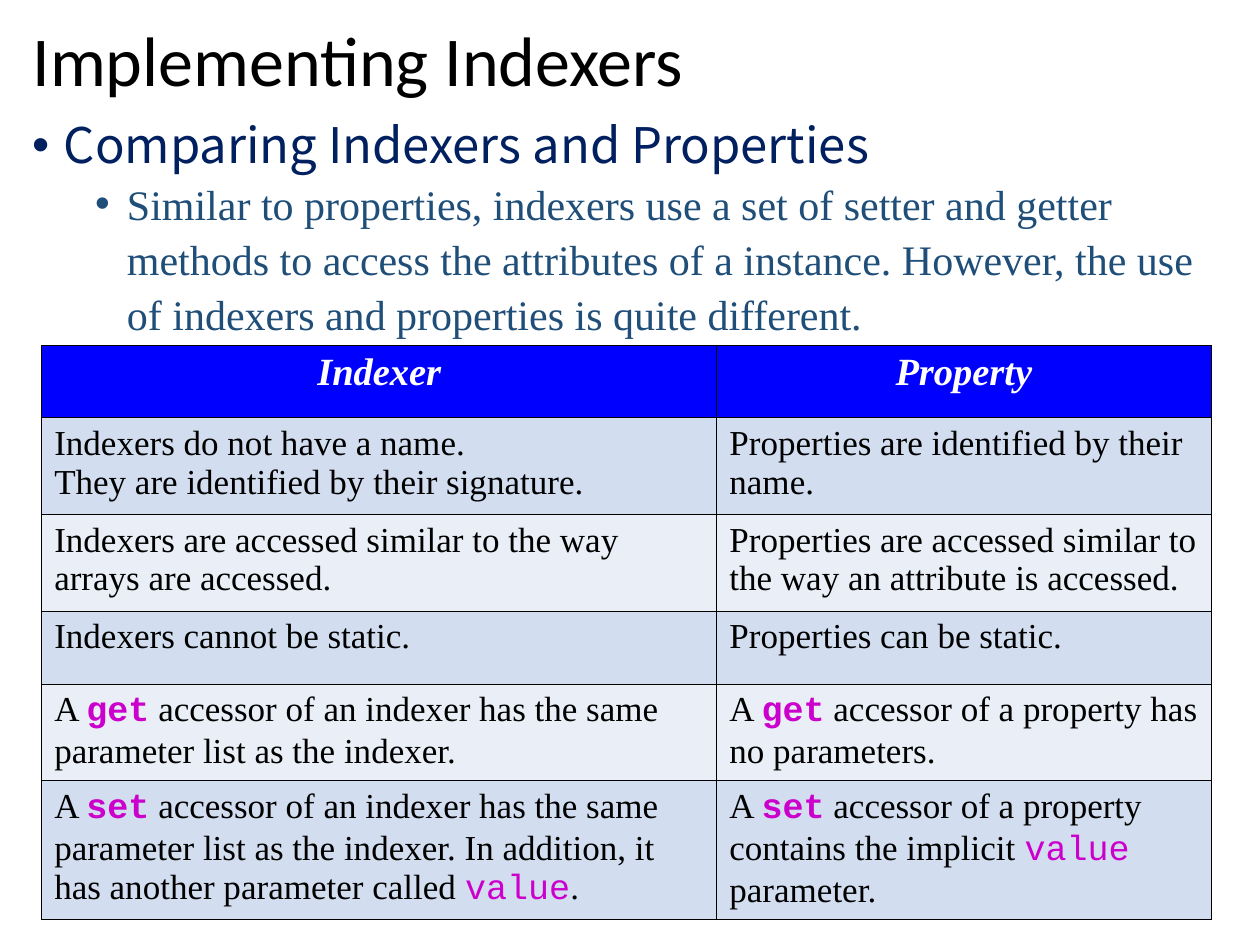
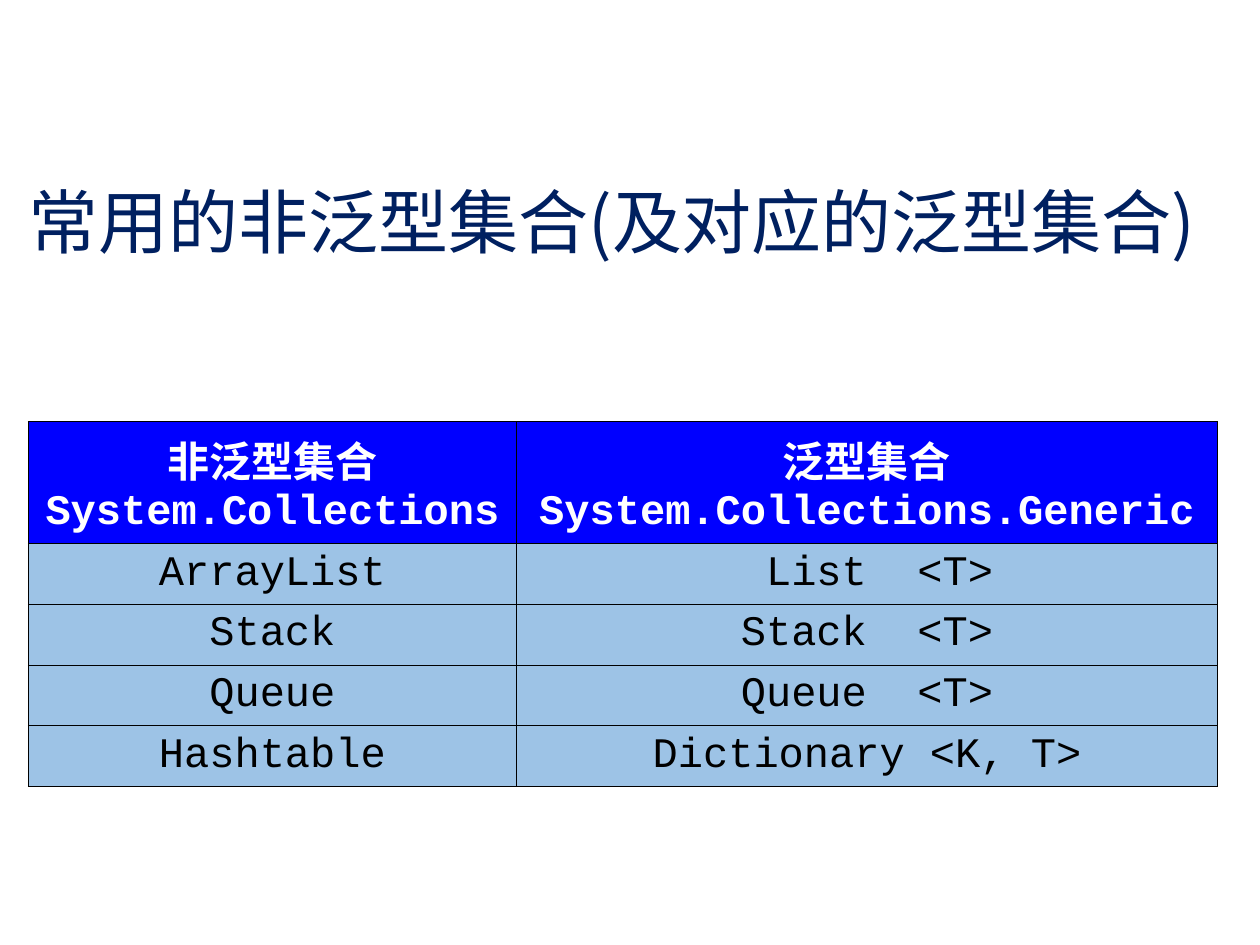
from lxml.etree import SubElement
from pptx import Presentation
from pptx.dml.color import RGBColor as RGB
from pptx.enum.text import MSO_ANCHOR as ANCHOR, MSO_AUTO_SIZE as AUTO, PP_ALIGN as ALIGN
from pptx.oxml.ns import qn
from pptx.util import Cm, Pt

COLORS = {"black": "000000", "white": "FFFFFF", "navy": "002060", "steel": "1F4E79",
          "header": "0000FF", "code": "CC00CC", "band_dark": "D2DEEF",
          "band_light": "EAEFF7", "sky": "9DC3E6"}
CJK, SERIF, MONO = "Noto Sans CJK SC", "Times New Roman", "Courier New"


def write(p, text, color, **font):
    """Fill a paragraph; parts between backquotes are set as code, keywords in bold."""
    for i, part in enumerate(text.split("`")):
        if not part:
            continue
        r = p.add_run()
        r.text = part
        fmt = dict(font)
        if i % 2:
            fmt.update(name=MONO, bold=part != "value")
        for key, value in fmt.items():
            setattr(r.font, key, value)
        r.font.color.rgb = RGB.from_string(COLORS["code" if i % 2 else color])
        SubElement(r.font._element, qn("a:ea"), typeface=CJK)


def add_grid(s, left, top, widths, heights, rows, fills, head, body, **cell_format):
    """Add a table with thin black borders, a centred header row and cycling row fills."""
    frame = s.shapes.add_table(len(heights), len(widths), Cm(left), Cm(top),
                               Cm(sum(widths)), Cm(sum(heights)))
    table = frame.table
    for col, width in zip(table.columns, widths):
        col.width = Cm(width)
    for i, (row, height) in enumerate(zip(table.rows, heights)):
        row.height = Cm(height)
        fill = fills[(i - 1) % len(fills)] if i else "header"
        style = body if i else head
        for cell, text in zip(row.cells, rows[i]):
            for key, value in cell_format.items():
                setattr(cell, key, value)
            tcPr = cell._tc.get_or_add_tcPr()
            for side in ("lnL", "lnR", "lnT", "lnB"):
                ln = SubElement(tcPr, qn(f"a:{side}"), w=str(Pt(0.45)))
                solid = SubElement(ln, qn("a:solidFill"))
                SubElement(solid, qn("a:srgbClr"), val=COLORS["black"])
            cell.fill.solid()
            cell.fill.fore_color.rgb = RGB.from_string(COLORS[fill])
            tf = cell.text_frame
            for n, line in enumerate(text.split("\n")):
                p = tf.add_paragraph() if n else tf.paragraphs[0]
                p.alignment = style["align"]
                write(p, line, **style["font"])


prs = Presentation()
prs.slide_width, prs.slide_height = Cm(25.4), Cm(19.05)

# Titles
titles = [
    ("Implementing Indexers", "Calibri", "black", (0.4, 0.28, 24.74, 2.0)),
    ("常用的非泛型集合(及对应的泛型集合)", CJK, "navy", (0.33, 3.02, 24.74, 3.05)),
]
slides = []
for text, font, color, box in titles:
    s = prs.slides.add_slide(prs.slide_layouts[5])
    sp = s.shapes.title
    sp.left, sp.top, sp.width, sp.height = map(Cm, box)
    tf = sp.text_frame
    tf.auto_size, tf.vertical_anchor = AUTO.NONE, ANCHOR.MIDDLE
    p = tf.paragraphs[0]
    p.alignment, p.line_spacing = ALIGN.LEFT, 0.9
    write(p, text, color, name=font, size=Pt(40))
    slides.append(s)
indexer_slide, collection_slide = slides

# Slide 1: bullets above the comparison
sp = indexer_slide.shapes.add_textbox(Cm(0.4), Cm(2.31), Cm(24.74), Cm(16.36))
tf = sp.text_frame
tf.word_wrap = True
bullets = [
    ("Comparing Indexers and Properties", CJK, 28, "navy", 0.64, 0.9),
    ("Similar to properties, indexers use a set of setter and getter methods to access "
     "the attributes of a instance. However, the use of indexers and properties is "
     "quite different.", SERIF, 24, "steel", 1.91, 1.09),
]
for level, (text, font, size, color, indent, spacing) in enumerate(bullets):
    p = tf.add_paragraph() if level else tf.paragraphs[0]
    p.level, p.line_spacing = level, spacing
    pPr = p._p.get_or_add_pPr()
    pPr.set("marL", str(Cm(indent)))
    pPr.set("indent", str(Cm(-0.64)))
    SubElement(SubElement(pPr, qn("a:buClr")), qn("a:srgbClr"), val=COLORS[color])
    SubElement(pPr, qn("a:buFont"), typeface="Arial")
    SubElement(pPr, qn("a:buChar"), char="•")
    write(p, text, color, name=font, size=Pt(size))

comparison = [
    ("Indexer", "Property"),
    ("Indexers do not have a name.\nThey are identified by their signature.",
     "Properties are identified by their name."),
    ("Indexers are accessed similar to the way arrays are accessed.",
     "Properties are accessed similar to the way an attribute is accessed."),
    ("Indexers cannot be static.", "Properties can be static."),
    ("A `get` accessor of an indexer has the same parameter list as the indexer.",
     "A `get` accessor of a property has no parameters."),
    ("A `set` accessor of an indexer has the same parameter list as the indexer. "
     "In addition, it has another parameter called `value`.",
     "A `set` accessor of a property contains the implicit `value` parameter."),
]
add_grid(
    indexer_slide, 0.84, 6.96, (13.61, 9.96), (1.46, 1.95, 1.95, 1.47, 1.95, 2.79),
    comparison, ("band_dark", "band_light"),
    head={"align": ALIGN.CENTER, "font": dict(color="white", name=SERIF, size=Pt(22),
                                              bold=True, italic=True)},
    body={"align": ALIGN.LEFT, "font": dict(color="black", name=SERIF, size=Pt(20),
                                            bold=False)})

# Slide 2: collections and their generic counterparts
collections = [
    ("非泛型集合\nSystem.Collections", "泛型集合System.Collections.Generic"),
    ("ArrayList", " List  <T>"),
    ("Stack", "Stack  <T>"),
    ("Queue", "Queue  <T>"),
    ("Hashtable", "Dictionary <K, T>"),
]
add_grid(
    collection_slide, 0.57, 8.5, (9.84, 14.13), [2.46] + [1.21] * 4,
    collections, ("sky",),
    head={"align": ALIGN.CENTER, "font": dict(color="white", name=MONO, size=Pt(24),
                                              bold=True)},
    body={"align": ALIGN.CENTER, "font": dict(color="black", name=MONO, size=Pt(24),
                                              bold=False)},
    vertical_anchor=ANCHOR.MIDDLE, margin_left=Cm(0.18), margin_right=Cm(0.18),
    margin_top=Cm(0.13), margin_bottom=Cm(0.13))

prs.save("out.pptx")
